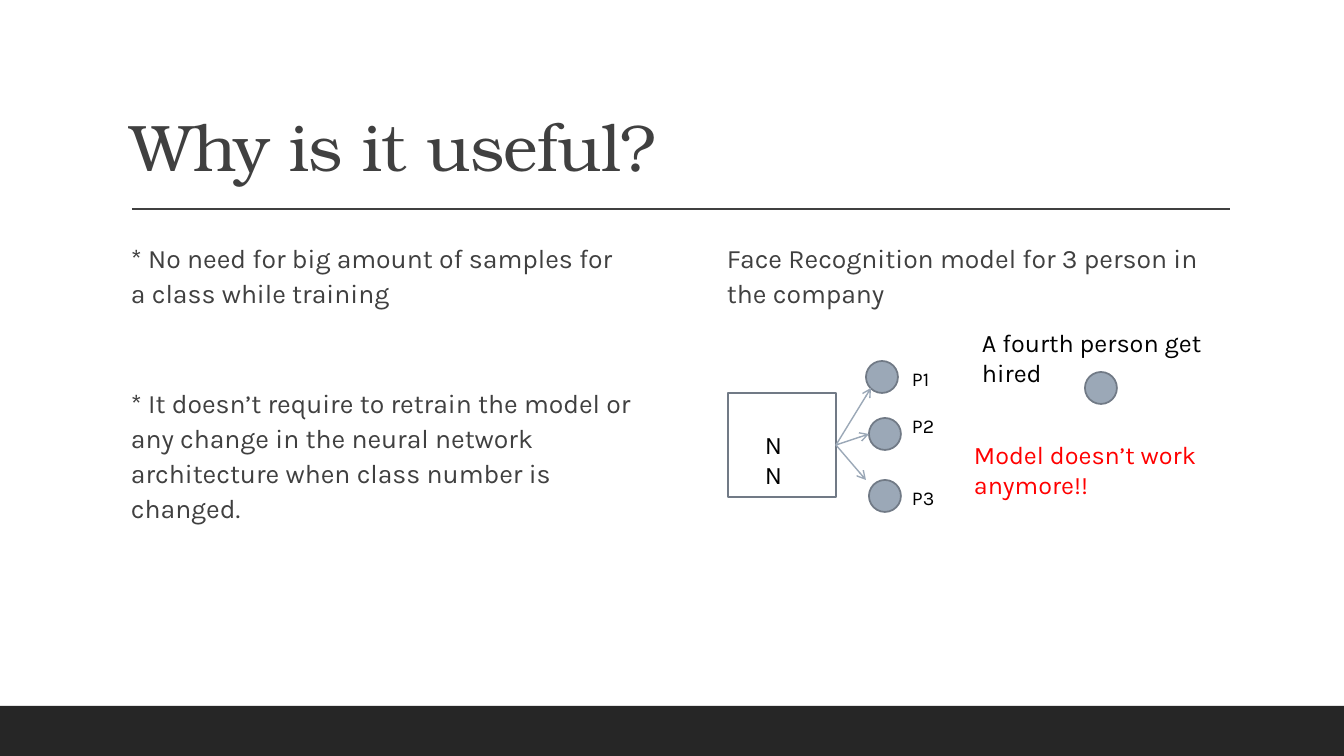
from lxml import etree
from pptx import Presentation
from pptx import util as u
from pptx.dml.color import RGBColor
from pptx.enum import shapes, text
from pptx.oxml.ns import qn

BLACK = RGBColor(0x00, 0x00, 0x00)
CHARCOAL = RGBColor(0x26, 0x26, 0x26)
GREY = RGBColor(0x40, 0x40, 0x40)
STEEL = RGBColor(0x9B, 0xA8, 0xB7)
OUTLINE = RGBColor(0x71, 0x7A, 0x86)
RED = RGBColor(0xFF, 0x00, 0x00)

HEADING_FONT = "TeX Gyre Bonum"
BODY_FONT = "Karla"


def px(length):
    return u.Emu(round(length * 914400 / 100.8))


class Board:
    """The current slide and the style of its elements."""

    def __init__(self, slide):
        self.shapes = slide.shapes

    def shape(self, kind, left, top, width, height, fill=None, line=None):
        item = self.shapes.add_shape(kind, px(left), px(top), px(width), px(height))
        item.shadow.inherit = False
        if fill is None:
            item.fill.background()
        else:
            item.fill.solid()
            item.fill.fore_color.rgb = fill
        if line is None:
            item.line.fill.background()
        else:
            item.line.color.rgb = line
            item.line.width = u.Pt(1.25)
        return item

    def person(self, left, top):
        return self.shape(shapes.MSO_SHAPE.OVAL, left, top, 32, 32, STEEL, OUTLINE)

    def line(self, start, end, color, source=None, arrow=False):
        item = self.shapes.add_connector(
            shapes.MSO_CONNECTOR.STRAIGHT, *(px(v) for v in (*start, *end)))
        if source is not None:
            item.begin_connect(source, 3)
        item.line.color.rgb = color
        item.line.width = u.Pt(1)
        properties = item._element.spPr
        if arrow:
            etree.SubElement(properties.find(qn("a:ln")), qn("a:tailEnd"), type="arrow")
        etree.SubElement(properties, qn("a:effectLst"))

    def text(self, left, top, width, height, paragraphs, size, color=BLACK,
             font=BODY_FONT, spacing=1.0, tracking=0, anchor=text.MSO_ANCHOR.TOP):
        """Each paragraph is a pair: wording and points of space before."""
        box = self.shapes.add_textbox(px(left), px(top), px(width), px(height))
        frame = box.text_frame
        frame.word_wrap = True
        frame.vertical_anchor = anchor
        frame.margin_left = frame.margin_right = px(10)
        frame.margin_top = frame.margin_bottom = px(5)
        for index, (wording, before) in enumerate(paragraphs):
            paragraph = frame.add_paragraph() if index else frame.paragraphs[0]
            paragraph.line_spacing = spacing
            if before:
                paragraph.space_before = u.Pt(before)
            run = paragraph.add_run()
            run.text = wording
            run.font.name = font
            run.font.size = u.Pt(size)
            run.font.color.rgb = color
            if tracking:
                run._r.get_or_add_rPr().set("spc", str(tracking))


def main():
    deck = Presentation()
    deck.slide_width, deck.slide_height = px(1344), px(756)
    board = Board(deck.slides.add_slide(deck.slide_layouts[6]))

    # Footer band, title and its rule
    board.shape(shapes.MSO_SHAPE.RECTANGLE, 0, 706, 1344, 50, CHARCOAL)
    board.line((132, 209), (1230, 209), GREY)
    board.text(121, 31, 1109, 160, [("Why is it useful?", 0)], 47, GREY, HEADING_FONT,
               0.9, -50, text.MSO_ANCHOR.BOTTOM)

    # Two columns of reasons
    reasons = [
        ("* No need for big amount of samples for a class while training", 0),
        ("* It doesn’t require to retrain the model or any change in the neural "
         "network architecture when class number is changed.", 53),
    ]
    example = [("Face Recognition model for 3 person in the company", 0)]
    for left, column in ((121, reasons), (717, example)):
        board.text(left, 234, 521, 413, column, 19, GREY, spacing=1.1)

    # Network with an arrow to each known person
    network = board.shape(shapes.MSO_SHAPE.RECTANGLE, 728, 393, 108, 104, line=OUTLINE)
    board.text(755, 424, 52, 40, [("NN", 0)], 18)
    for person, tip in (((866, 361), (871, 388)),
                        ((869, 418), (869, 434)),
                        ((869, 480), (866, 480))):
        board.person(*person)
        board.line((836, 445), tip, STEEL, network, arrow=True)
    board.text(902, 362, 55, 152, [("P1", 0), ("P2", 17), ("P3", 34)], 14)

    # The new hire and the outcome
    board.text(972, 322, 286, 40, [("A fourth person get hired", 0)], 18)
    board.person(1085, 372)
    board.text(964, 434, 344, 40, [("Model doesn’t work anymore!!", 0)], 18, RED)

    deck.save("out.pptx")


if __name__ == "__main__":
    main()
